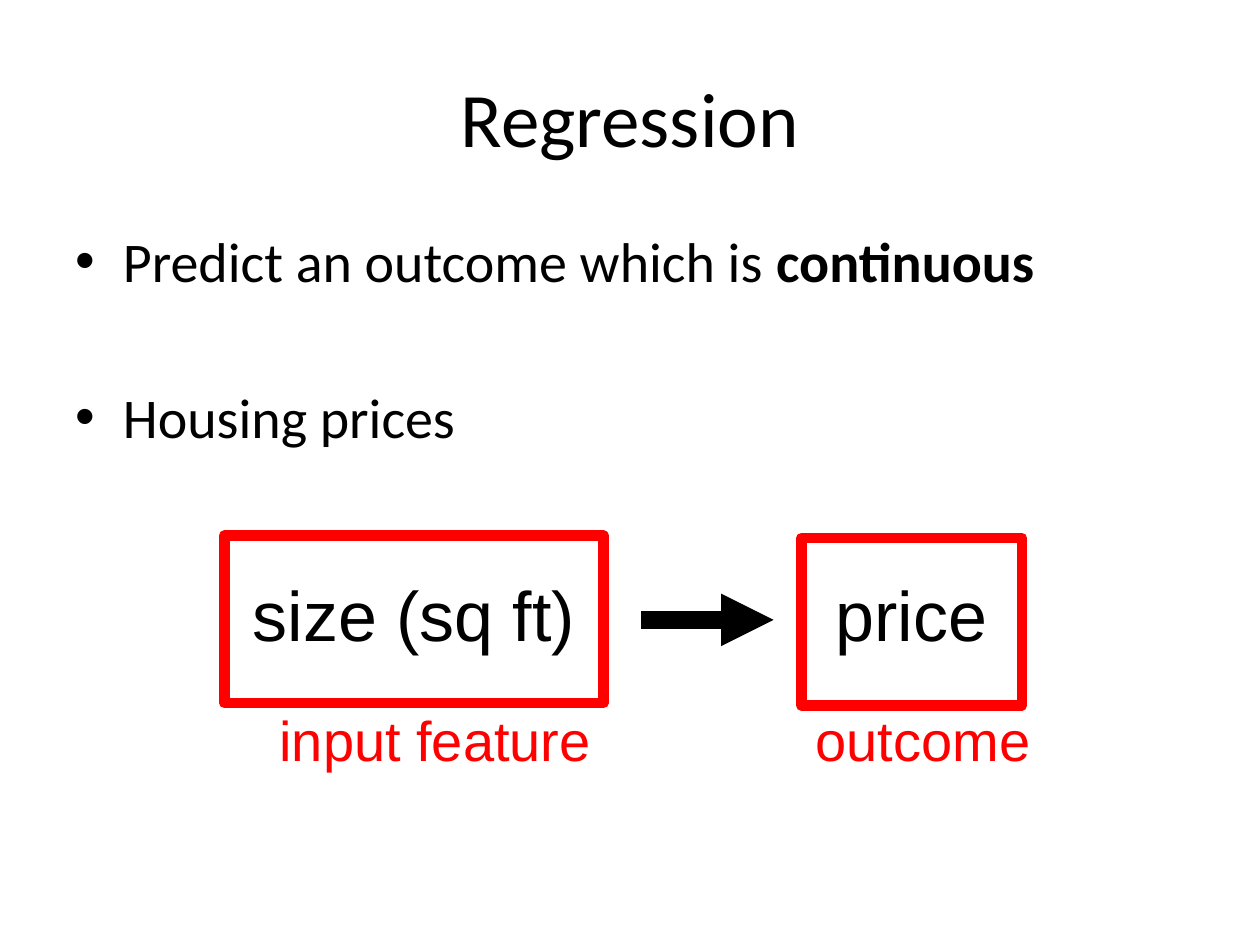
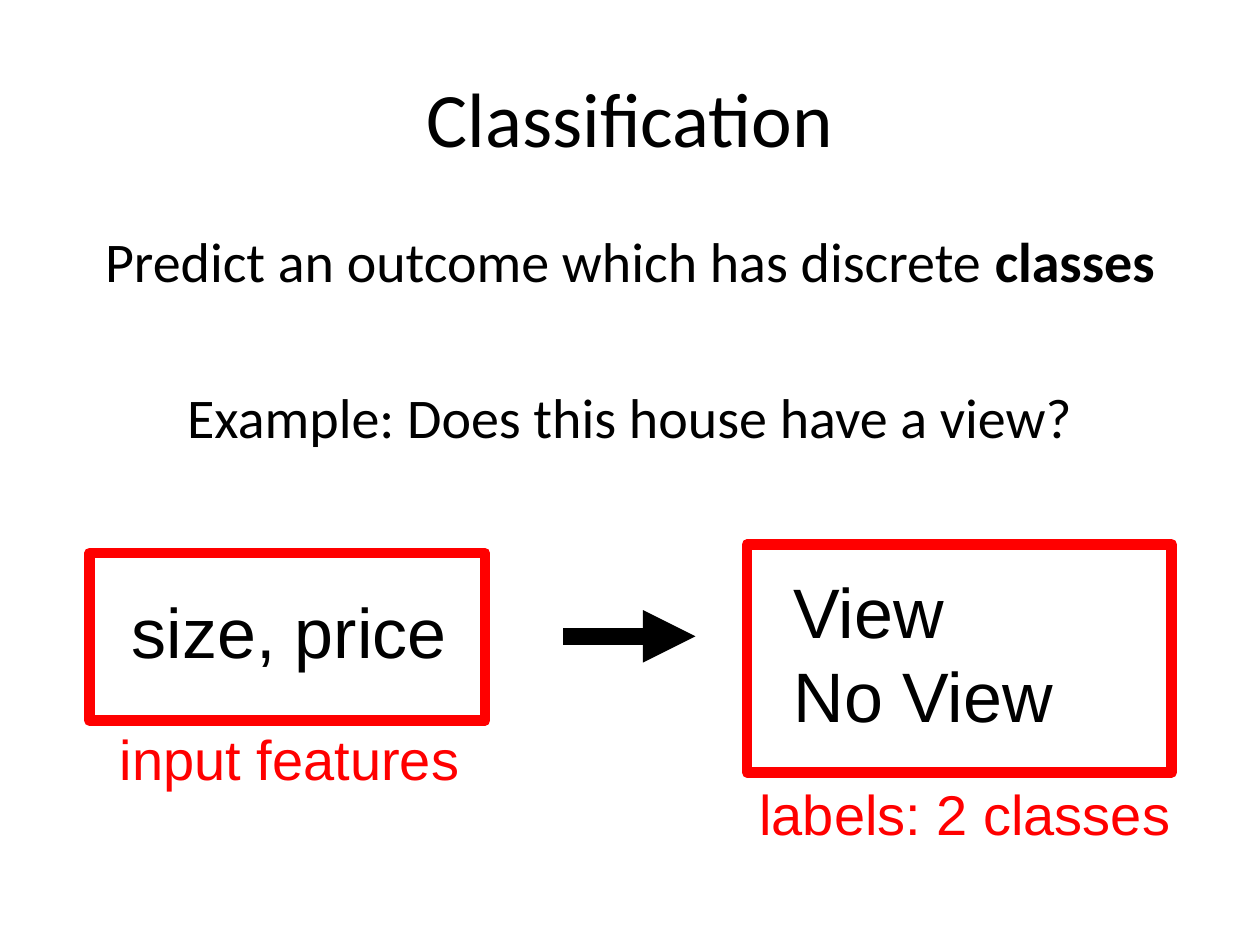
import dataclasses

import pptx
import pptx.dml.color
import pptx.enum.shapes
import pptx.enum.text
import pptx.oxml.ns
import pptx.util
from lxml import etree

Inches = pptx.util.Inches
Pt = pptx.util.Pt
Align = pptx.enum.text.PP_ALIGN
Anchor = pptx.enum.text.MSO_ANCHOR
Fit = pptx.enum.text.MSO_AUTO_SIZE
qn = pptx.oxml.ns.qn


@dataclasses.dataclass
class Theme:
    ink: str = "000000"
    mark: str = "FF0000"
    head: str = "Calibri"
    font: str = "Arial"
    title: int = 44
    body: int = 32
    term: int = 40
    note: int = 32
    frame: int = 6
    arrow: int = 10
    gap: float = 50.6


def color(code):
    return pptx.dml.color.RGBColor.from_string(code)


def place(item, left, top, width, height):
    item.left, item.top = Inches(left), Inches(top)
    item.width, item.height = Inches(width), Inches(height)


class Deck:
    def __init__(self, theme):
        self.theme = theme
        self.file = pptx.Presentation()
        self.file.slide_width = Inches(10)
        self.file.slide_height = Inches(7.5)
        self.slide = None

    def run(self, para, text, size, font, code, bold=False):
        run = para.add_run()
        run.text = text
        run.font.size = Pt(size)
        run.font.name = font
        run.font.bold = bold
        run.font.color.rgb = color(code)

    def start(self, title):
        look = self.theme
        self.slide = self.file.slides.add_slide(self.file.slide_layouts[1])
        item = self.slide.shapes.title
        place(item, 0.5, 0.3, 9, 1.25)
        item.text_frame.vertical_anchor = Anchor.MIDDLE
        para = item.text_frame.paragraphs[0]
        para.alignment = Align.CENTER
        self.run(para, title, look.title, look.head, look.ink)

    def body(self, height, lines, bullet=True):
        look = self.theme
        item = self.slide.placeholders[1]
        place(item, 0.5, 1.75, 9, height)
        frame = item.text_frame
        frame.auto_size = Fit.NONE
        for index, parts in enumerate(lines):
            para = frame.add_paragraph() if index else frame.paragraphs[0]
            if index:
                para.space_before = Pt(look.gap)
            if not bullet:
                para.alignment = Align.CENTER
                props = para._p.get_or_add_pPr()
                props.set("marL", "0")
                props.set("indent", "0")
                etree.SubElement(props, qn("a:buNone"))
            for text, bold in parts:
                self.run(para, text, look.body, look.head, look.ink, bold)

    def text(self, area, lines, size, code, align=Align.CENTER):
        item = self.slide.shapes.add_textbox(*map(Inches, area))
        frame = item.text_frame
        frame.word_wrap = True
        frame.auto_size = Fit.SHAPE_TO_FIT_TEXT
        for index, line in enumerate(lines):
            para = frame.add_paragraph() if index else frame.paragraphs[0]
            para.alignment = align
            self.run(para, line, size, self.theme.font, code)

    def term(self, area, *lines, align=Align.CENTER):
        self.text(area, lines, self.theme.term, self.theme.ink, align)

    def note(self, area, line, align=Align.CENTER):
        self.text(area, [line], self.theme.note, self.theme.mark, align)

    def frame(self, *area):
        kind = pptx.enum.shapes.MSO_SHAPE.RECTANGLE
        item = self.slide.shapes.add_shape(kind, *map(Inches, area))
        item.shadow.inherit = False
        item.fill.background()
        item.line.color.rgb = color(self.theme.mark)
        item.line.width = Pt(self.theme.frame)
        etree.SubElement(item.line._get_or_add_ln(), qn("a:round"))

    def arrow(self, left, top, width=1.05):
        kind = pptx.enum.shapes.MSO_CONNECTOR.STRAIGHT
        ends = map(Inches, (left, top, left + width, top))
        item = self.slide.shapes.add_connector(kind, *ends)
        item.line.color.rgb = color(self.theme.ink)
        item.line.width = Pt(self.theme.arrow)
        line = item.line._get_or_add_ln()
        etree.SubElement(line, qn("a:tailEnd"), type="triangle")
        etree.SubElement(item._element.spPr, qn("a:effectLst"))


def predict(deck):
    deck.start("Regression")
    deck.body(2.08, [
        [("Predict an outcome which is ", False), ("continuous", True)],
        [("Housing prices", False)],
    ])
    deck.term((6.36, 4.49, 1.75, 0.77), "price")
    deck.term((1.86, 4.49, 2.85, 0.77), "size (sq ft)")
    deck.arrow(5.09, 4.92)
    deck.frame(1.78, 4.25, 3.01, 1.33)
    deck.note((2.03, 5.55, 2.85, 0.64), "input feature")
    deck.frame(6.36, 4.27, 1.75, 1.33)
    deck.note((5.9, 5.55, 2.85, 0.64), "outcome")


def label(deck):
    deck.start("Classification")
    deck.body(2.21, [
        [("Predict an outcome which has discrete ", False), ("classes", True)],
        [("Example: Does this house have a view?", False)],
    ], bullet=False)
    deck.term((6.2, 4.46, 3.09, 1.45), "View", "No View", align=Align.LEFT)
    deck.term((0, 4.62, 4.59, 0.77), "size, price")
    deck.arrow(4.47, 5.05)
    deck.frame(0.71, 4.39, 3.14, 1.33)
    deck.note((0.71, 5.7, 3.18, 0.64), "input features")
    deck.frame(5.93, 4.32, 3.37, 1.81)
    deck.note((5.75, 6.14, 3.64, 0.64), "labels: 2 classes", Align.RIGHT)


def main():
    deck = Deck(Theme())
    predict(deck)
    label(deck)
    deck.file.save("out.pptx")


if __name__ == "__main__":
    main()
